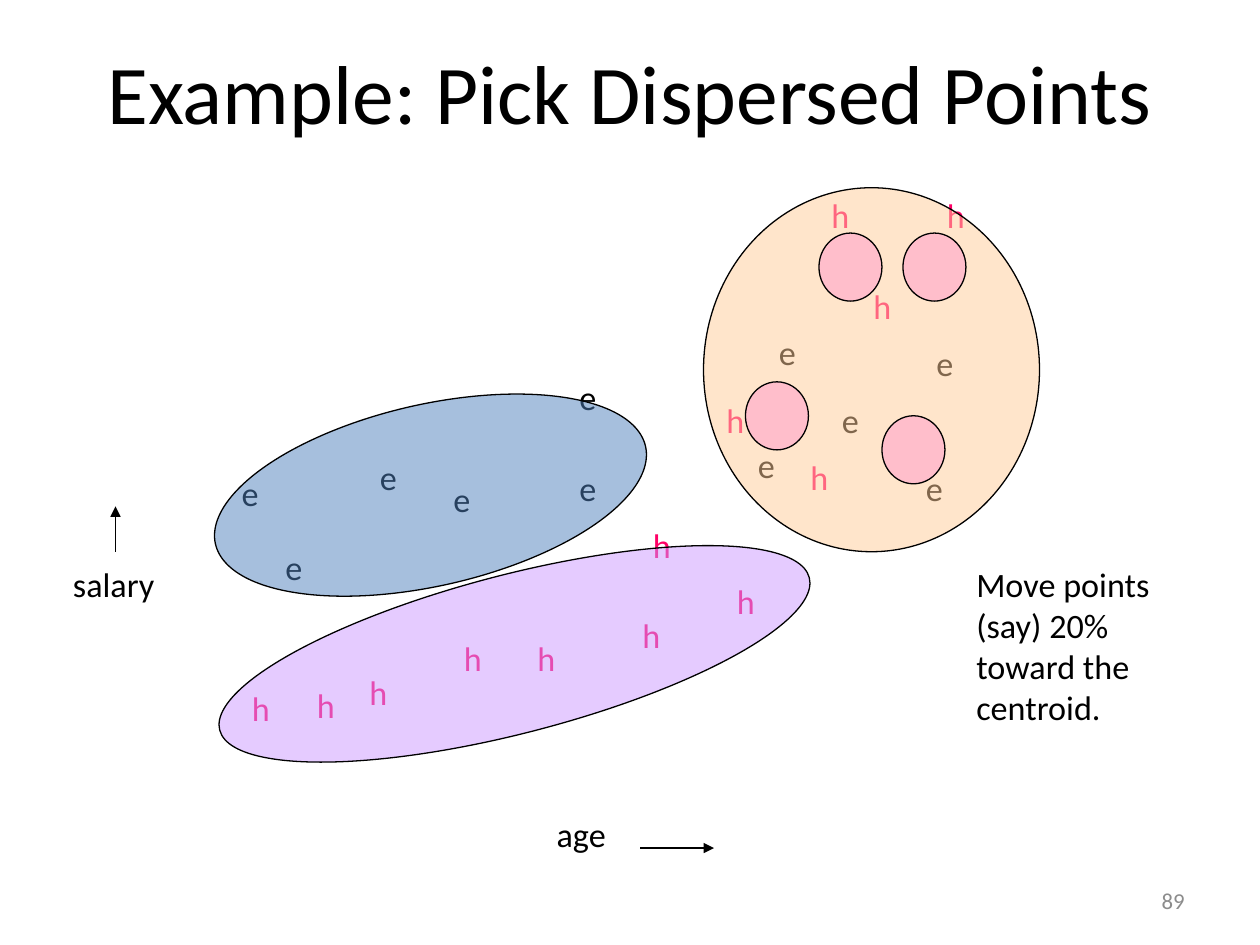
"""Build the slide on picking dispersed points in three clusters."""
import lxml.etree
import pptx
import pptx.dml.color
import pptx.enum.shapes
import pptx.enum.text
import pptx.oxml.ns
import pptx.util

Pt = pptx.util.Pt
ALIGN = pptx.enum.text.PP_ALIGN
ANCHOR = pptx.enum.text.MSO_ANCHOR
AUTO_SIZE = pptx.enum.text.MSO_AUTO_SIZE

FONT = "Calibri"
BODY_SIZE = 19.5
COLORS = {
    "ink": "000000",
    "h": "FF0066",
    "number": "8C8C8C",
    "blue": "4F81BD",
    "orange": "FFCC99",
    "violet": "CC99FF",
    "pink": "FF99CC",
}
E_POINTS = [
    (131, 266.4), (252, 270), (324, 211.7), (426, 250.6), (438, 185.8), (528, 192.2),
    (156, 308.9), (210, 257), (324, 263.5), (474, 224.6), (522, 263.5),
]
H_POINTS = [
    (136.8, 389.5), (408, 224.6), (414, 328.3), (456, 257), (492, 159.8),
    (534, 107.3), (258, 360.7), (300, 360.7), (366, 295.9), (360, 347.8),
    (468, 107.3), (174, 387.4), (204, 380.2),
]
CLUSTERS = [
    (120, 231.1, 252, 103.7, "blue", 347.2),
    (402, 107.3, 192, 208, "orange", 0),
    (120, 328.3, 348, 90.7, "violet", 345.5),
]
MOVED_POINTS = [(468, 133.2), (516, 133.2), (426, 218.2), (504, 237.6)]


def rgb(name):
    """Return the named colour."""
    return pptx.dml.color.RGBColor.from_string(COLORS[name])


def add_run(paragraph, text, size, color):
    """Add one formatted run to a paragraph."""
    run = paragraph.add_run()
    run.text = text
    run.font.name = FONT
    run.font.size = Pt(size)
    run.font.color.rgb = rgb(color)


def add_title(slide, text):
    """Place and fill the title placeholder."""
    title = slide.shapes.title
    title.left, title.top, title.width, title.height = Pt(0), Pt(3.6), Pt(720), Pt(97.2)
    frame = title.text_frame
    frame.auto_size = AUTO_SIZE.NONE
    frame.vertical_anchor = ANCHOR.MIDDLE
    frame.paragraphs[0].alignment = ALIGN.CENTER
    add_run(frame.paragraphs[0], text, 47.7, "ink")


def add_label(slide, lines, left, top, width, height=31, color="ink"):
    """Add an unwrapped text box with one paragraph for each line."""
    frame = slide.shapes.add_textbox(Pt(left), Pt(top), Pt(width), Pt(height)).text_frame
    frame.word_wrap = False
    frame.auto_size = AUTO_SIZE.SHAPE_TO_FIT_TEXT
    for index, line in enumerate(lines):
        paragraph = frame.add_paragraph() if index else frame.paragraphs[0]
        add_run(paragraph, line, BODY_SIZE, color)


def add_slide_number(slide, text):
    """Add the slide number at the lower right."""
    frame = slide.shapes.add_textbox(Pt(516.2), Pt(500.4), Pt(167.8), Pt(28.8)).text_frame
    frame.word_wrap = True
    frame.vertical_anchor = ANCHOR.MIDDLE
    frame.paragraphs[0].alignment = ALIGN.RIGHT
    add_run(frame.paragraphs[0], text, 13, "number")


def add_arrow(slide, start, end):
    """Add a thin straight arrow."""
    arrow = slide.shapes.add_connector(
        pptx.enum.shapes.MSO_CONNECTOR.STRAIGHT, *map(Pt, start + end))
    arrow.line.color.rgb = rgb("ink")
    arrow.line.width = Pt(0.75)
    qn = pptx.oxml.ns.qn
    line = arrow.line._get_or_add_ln()
    lxml.etree.SubElement(line, qn("a:tailEnd"), type="triangle")
    lxml.etree.SubElement(arrow._element.spPr, qn("a:effectLst"))


def add_ellipse(slide, left, top, width, height, color, rotation=0):
    """Add an outlined, half-transparent ellipse."""
    ellipse = slide.shapes.add_shape(
        pptx.enum.shapes.MSO_SHAPE.OVAL, Pt(left), Pt(top), Pt(width), Pt(height))
    ellipse.shadow.inherit = False
    ellipse.rotation = rotation
    ellipse.fill.solid()
    ellipse.fill.fore_color.rgb = rgb(color)
    qn = pptx.oxml.ns.qn
    fill_color = ellipse._element.spPr.find(qn("a:solidFill"))[0]
    lxml.etree.SubElement(fill_color, qn("a:alpha"), val="50000")
    ellipse.line.color.rgb = rgb("ink")
    ellipse.line.width = Pt(0.75)


def main():
    """Build and save the presentation."""
    presentation = pptx.Presentation()
    presentation.slide_width, presentation.slide_height = Pt(720), Pt(540)
    slide = presentation.slides.add_slide(presentation.slide_layouts[5])
    add_slide_number(slide, "89")
    add_title(slide, "Example: Pick Dispersed Points")
    for left, top in E_POINTS:
        add_label(slide, ["e"], left, top, 24.5)
    for left, top in H_POINTS:
        add_label(slide, ["h"], left, top, 25.2, color="h")
    add_label(slide, ["salary"], 34.6, 318.2, 61.9)
    add_label(slide, ["age"], 311, 461.5, 43.2)
    add_arrow(slide, (366, 484.6), (408, 484.6))
    add_arrow(slide, (66, 315.4), (66, 289.4))
    for cluster in CLUSTERS:
        add_ellipse(slide, *cluster)
    for left, top in MOVED_POINTS:
        add_ellipse(slide, left, top, 36, 38.9, "pink")
    note = ["Move points", "(say) 20%", "toward the", "centroid."]
    add_label(slide, note, 550.8, 318.2, 114.5, 101.5)
    presentation.save("out.pptx")


main()
